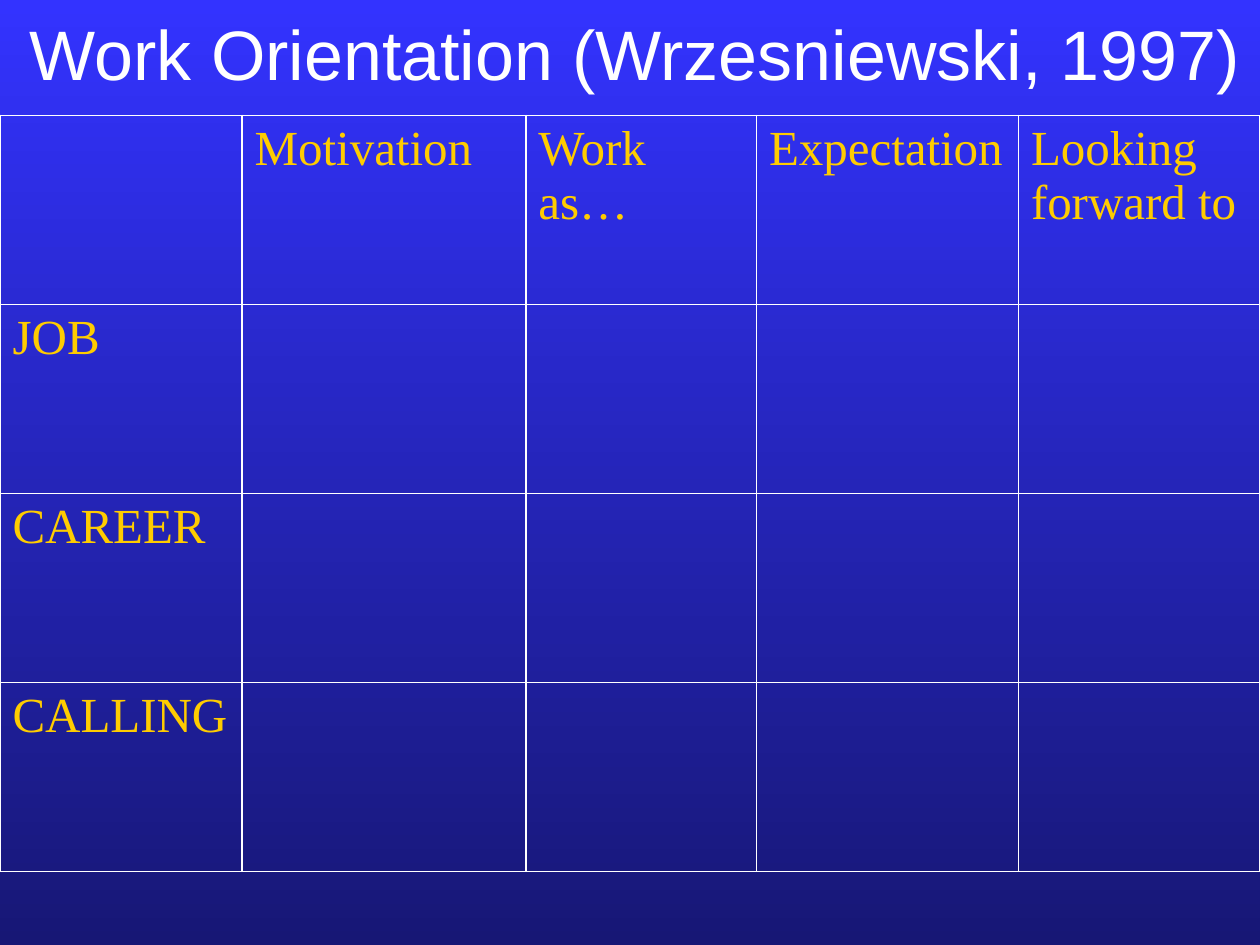
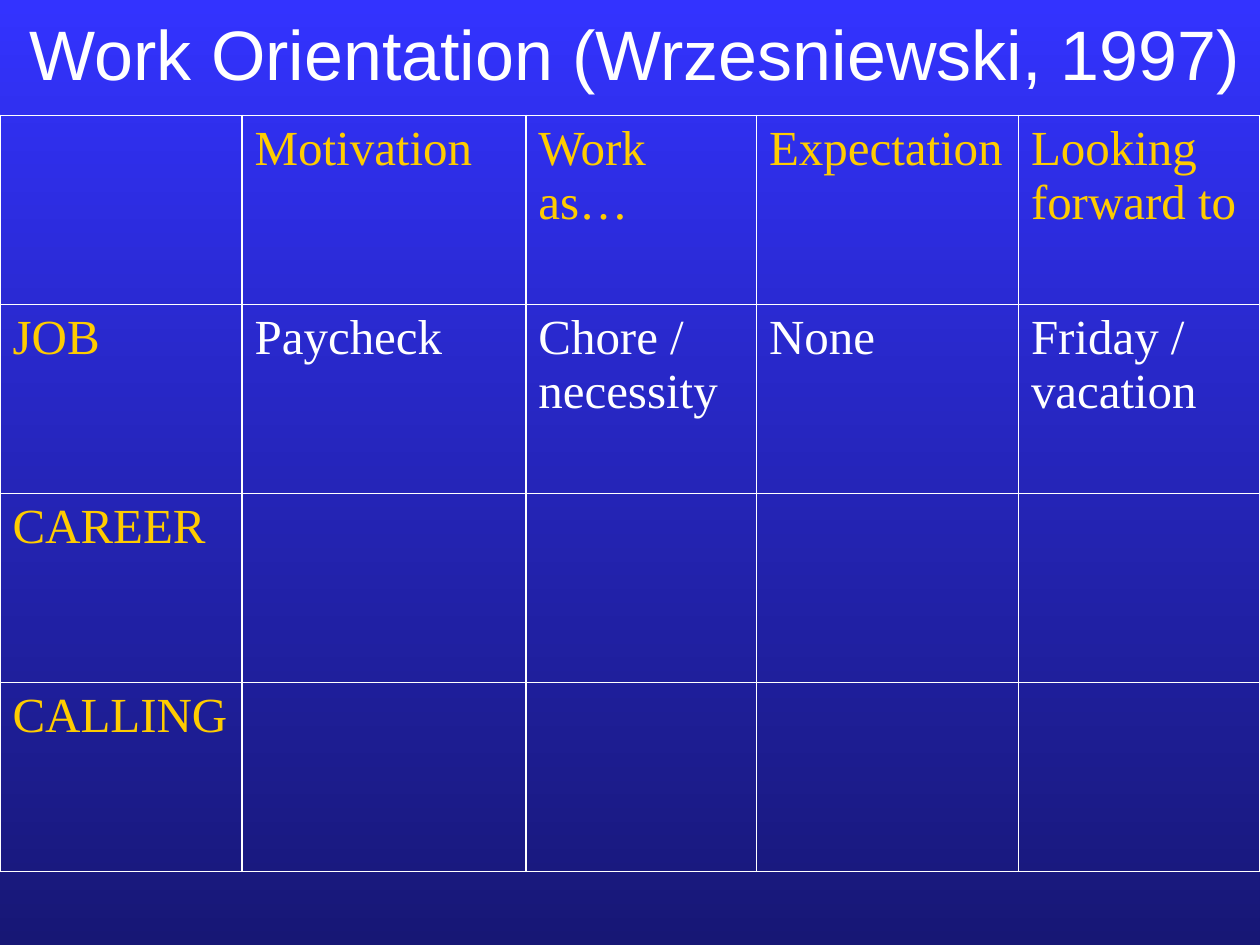
from dataclasses import dataclass

from lxml.etree import SubElement as Sub
from pptx import Presentation
from pptx.dml.color import RGBColor as Rgb
from pptx.enum.text import MSO_ANCHOR as Anchor, PP_ALIGN as Align
from pptx.oxml.ns import qn
from pptx.util import Cm, Pt


@dataclass(frozen=True)
class Theme:
    top: str = "3333FF"
    base: str = "171775"
    white: str = "FFFFFF"
    gold: str = "FFCC00"
    head: str = "Arial"
    body: str = "Times New Roman"
    large: int = 40
    small: int = 28
    rule: float = 1.08


theme = Theme()
title = "Work Orientation (Wrzesniewski, 1997)"
heads = ["", "Motivation", "Work as…", "Expectation", "Looking forward to"]
kinds = ["JOB", "CAREER", "CALLING"]
views = [
    {},
    {"JOB": ["Paycheck", "Chore / necessity", "None", "Friday / vacation"]},
]
widths = [4.88, 5.72, 4.65, 5.28, 4.87]
height = 3.81


def style(para, face, size, color):
    for run in para.runs:
        run.font.name = face
        run.font.size = Pt(size)
        run.font.color.rgb = Rgb.from_string(color)


def frame(cell):
    """Rule all four sides of a cell and leave it unfilled."""
    props = cell._tc.get_or_add_tcPr()
    for side in ("lnL", "lnR", "lnT", "lnB"):
        line = Sub(props, qn(f"a:{side}"), w=str(int(Pt(theme.rule))))
        Sub(Sub(line, qn("a:solidFill")), qn("a:srgbClr"), val=theme.white)
    cell.fill.background()


deck = Presentation()
deck.slide_width, deck.slide_height = Cm(25.4), Cm(19.05)

for known in views:
    slide = deck.slides.add_slide(deck.slide_layouts[6])

    back = slide.background.fill
    back.gradient()
    back.gradient_angle = 270
    for stop, color in zip(back.gradient_stops, (theme.top, theme.base)):
        stop.color.rgb = Rgb.from_string(color)

    text = slide.shapes.add_textbox(Cm(0), Cm(0.2), Cm(25.6), Cm(1.7)).text_frame
    text.word_wrap = True
    text.vertical_anchor = Anchor.MIDDLE
    text.text = title
    text.paragraphs[0].alignment = Align.CENTER
    style(text.paragraphs[0], theme.head, theme.large, theme.white)

    rows = [heads] + [[kind] + known.get(kind, [""] * 4) for kind in kinds]
    grid = slide.shapes.add_table(
        len(rows), len(heads), Cm(0), Cm(2.33), Cm(sum(widths)), Cm(height * len(rows))
    ).table
    grid.first_row = grid.horz_banding = False
    for col, width in zip(grid.columns, widths):
        col.width = Cm(width)
    for r, row in enumerate(rows):
        grid.rows[r].height = Cm(height)
        for c, words in enumerate(row):
            cell = grid.cell(r, c)
            frame(cell)
            if words:
                cell.text_frame.text = words
                color = theme.white if r and c else theme.gold
                style(cell.text_frame.paragraphs[0], theme.body, theme.small, color)

deck.save("out.pptx")
